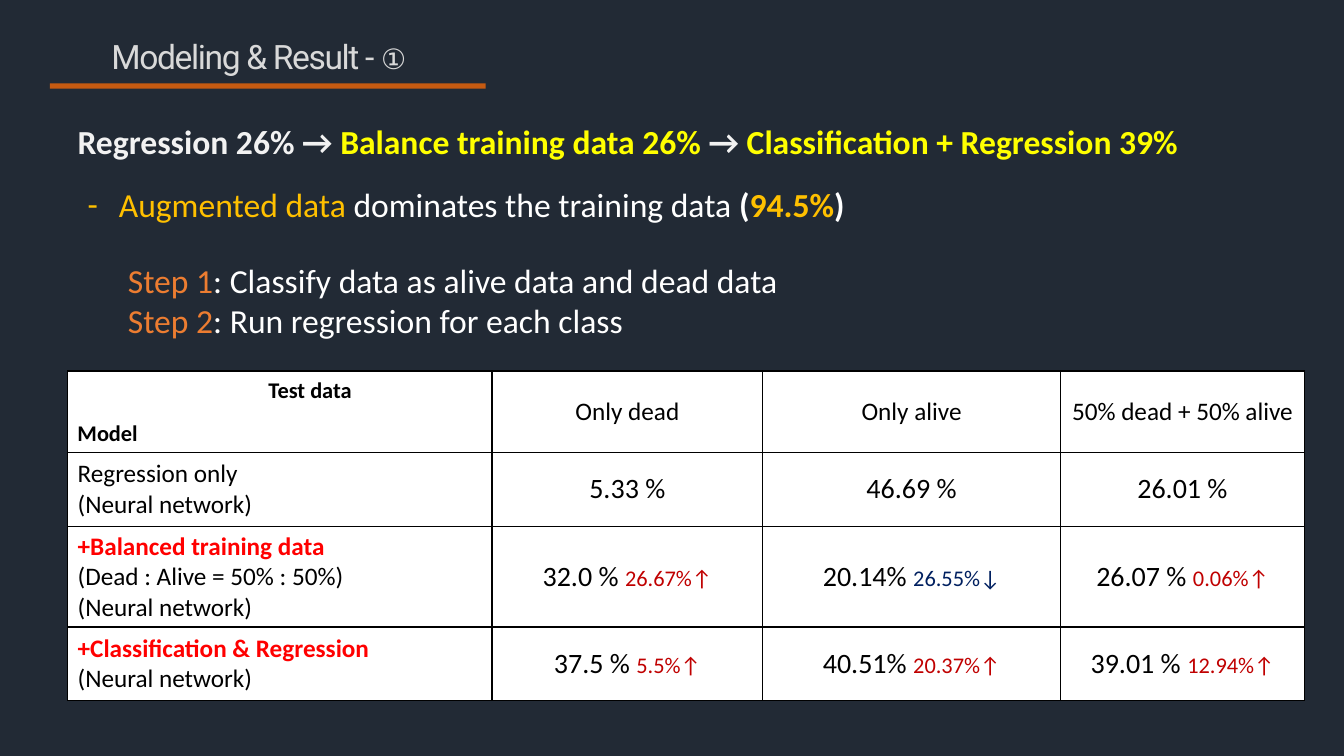
from lxml.etree import SubElement
from pptx import Presentation
from pptx.dml.color import RGBColor
from pptx.enum.shapes import MSO_SHAPE as Shape
from pptx.enum.text import MSO_ANCHOR as Anchor, PP_ALIGN as Align
from pptx.oxml.ns import qn
from pptx.util import Inches, Pt

COLORS = {
    "night": "222A35", "rust": "C55A11", "silver": "D9D9D9", "pale": "F2F2F2",
    "yellow": "FFFF00", "gold": "FFC000", "orange": "ED7D31", "white": "FFFFFF",
    "black": "000000", "red": "FF0000", "rise": "C00000", "fall": "002060",
}
WIDTH, HEIGHT = Inches(13.33), Inches(7.5)
COLUMN_SHARES = [34.3, 21.9, 24.05, 19.75]
ROW_SHARES = [27, 24.33, 24.33, 24.33]
TEST_SETS = ["Only dead", "Only alive", "50% dead + 50% alive"]
NETWORK = "(Neural network)"
RESULTS = [
    (None, ["Regression only", NETWORK],
     [("5.33 %", ""), ("46.69 %", ""), ("26.01 %", "")]),
    ("+Balanced training data", ["(Dead : Alive = 50% : 50%)", NETWORK],
     [("32.0 % ", "26.67%↑"), ("20.14% ", "26.55%↓"), ("26.07 % ", "0.06%↑")]),
    ("+Classification & Regression", [NETWORK],
     [("37.5 % ", "5.5%↑"), ("40.51% ", "20.37%↑"), ("39.01 % ", "12.94%↑")]),
]


def rgb(color):
    return RGBColor.from_string(COLORS[color])


def area(left, top, width, height):
    return [round(share * side / 100) for share, side in
            zip((left, top, width, height), (WIDTH, HEIGHT, WIDTH, HEIGHT))]


def within(box, left, top, width, height):
    return [round(length) for length in (
        box[0] + left * box[2], box[1] + top * box[3], width * box[2], height * box[3])]


def write(frame, lines, size, font="Calibri", **layout):
    for index, line in enumerate(lines):
        paragraph = frame.paragraphs[0] if index == 0 else frame.add_paragraph()
        for name, value in layout.items():
            setattr(paragraph, name, value)
        for text, color, *style in line:
            run = paragraph.add_run()
            run.text = text
            look = {"name": font, "size": Pt(size), "bold": False, **dict(style)}
            for name, value in look.items():
                setattr(run.font, name, value)
            run.font.color.rgb = rgb(color)


def add_text(slide, box, lines, size, anchor=Anchor.TOP, **layout):
    frame = slide.shapes.add_textbox(*box).text_frame
    frame.word_wrap = True
    frame.vertical_anchor = anchor
    write(frame, lines, size, **layout)
    return frame


def add_heading(slide, box):
    heading = add_text(
        slide, within(box, 0, 0, 0.97, 0.95),
        [[("Modeling & Result - ", "silver"), ("①", "silver", ("size", Pt(20)))]],
        24, Anchor.MIDDLE, font="Roboto", alignment=Align.CENTER, line_spacing=0.9)
    for run in heading.paragraphs[0].runs:
        run.font._element.set("spc", "-100")
    underline = slide.shapes.add_shape(Shape.RECTANGLE, *within(box, 0.01, 0.91, 0.99, 0.09))
    underline.shadow.inherit = False
    underline.fill.solid()
    underline.fill.fore_color.rgb = rgb("rust")
    underline.line.fill.background()


def add_progress(slide, box):
    bold = ("bold", True)
    add_text(slide, box, [[
        ("Regression 26% → ", "pale", bold), ("Balance training data 26% ", "yellow", bold),
        ("→", "pale", bold), (" Classification + Regression 39%", "yellow", bold),
    ]], 24, Anchor.MIDDLE, space_before=Pt(1))


def add_finding(slide, box):
    bold = ("bold", True)
    finding = add_text(slide, box, [[
        ("Augmented data ", "gold"), ("dominates the training data ", "white"),
        ("(", "white", bold), ("94.5%", "gold", bold), (")", "white", bold),
    ]], 24)
    properties = finding.paragraphs[0]._p.get_or_add_pPr()
    properties.set("marL", str(Inches(0.31)))
    properties.set("indent", str(-Inches(0.31)))
    SubElement(properties, qn("a:buFont")).set("typeface", "Calibri")
    SubElement(properties, qn("a:buChar")).set("char", "-")


def add_steps(slide, box):
    steps = ["Classify data as alive data and dead data", "Run regression for each class"]
    add_text(slide, box, [[(f"Step {number}", "orange"), (f": {step}", "white")]
                          for number, step in enumerate(steps, 1)], 24)


def format_cell(cell):
    cell.vertical_anchor = Anchor.MIDDLE
    properties = cell._tc.get_or_add_tcPr()
    for side in ("lnL", "lnR", "lnT", "lnB"):
        border = SubElement(properties, qn(f"a:{side}"), w=str(Pt(1)))
        paint = SubElement(border, qn("a:solidFill"))
        SubElement(paint, qn("a:srgbClr"), val=COLORS["black"])
    cell.fill.solid()
    cell.fill.fore_color.rgb = rgb("white")


def add_results(slide, box):
    table = slide.shapes.add_table(len(ROW_SHARES), len(COLUMN_SHARES), *box).table
    for column, share in zip(table.columns, COLUMN_SHARES):
        column.width = round(box[2] * share / 100)
    for row, share in zip(table.rows, ROW_SHARES):
        row.height = round(box[3] * share / 100)
    for cell in table.iter_cells():
        format_cell(cell)

    for column, test_set in enumerate(TEST_SETS, 1):
        header = table.cell(0, column)
        for side in ("left", "right", "top", "bottom"):
            setattr(header, f"margin_{side}", 0)
        write(header.text_frame, [[(test_set, "black")]], 18, alignment=Align.CENTER)

    for row, (addition, details, scores) in enumerate(RESULTS, 1):
        model = [[(addition, "red", ("bold", True))]] if addition else []
        model += [[(detail, "black")] for detail in details]
        write(table.cell(row, 0).text_frame, model, 18)
        for column, (score, change) in enumerate(scores, 1):
            line = [(score, "black")]
            if change:
                color = "rise" if change.endswith("↑") else "fall"
                line.append((change, color, ("size", Pt(16))))
            write(table.cell(row, column).text_frame, [line], 20, alignment=Align.CENTER)

    corner = within(box, 0, 0, COLUMN_SHARES[0] / 100, ROW_SHARES[0] / 100)
    for label, place in (("Test data", (0.45, 0, 0.32, 0.46)), ("Model", (0, 0.53, 0.24, 0.46))):
        add_text(slide, within(corner, *place), [[(label, "black", ("bold", True))]], 16)


def main():
    deck = Presentation()
    deck.slide_width, deck.slide_height = WIDTH, HEIGHT
    slide = deck.slides.add_slide(deck.slide_layouts[6])
    slide.background.fill.solid()
    slide.background.fill.fore_color.rgb = rgb("night")
    add_heading(slide, area(3.38, 4.13, 32.75, 7.6))
    add_progress(slide, area(5.03, 13.87, 90.25, 9.6))
    add_finding(slide, area(5.78, 23.73, 78.69, 6.67))
    add_steps(slide, area(8.78, 33.73, 71.94, 12.13))
    add_results(slide, area(5.03, 49.07, 92.05, 40))
    deck.save("out.pptx")


if __name__ == "__main__":
    main()
